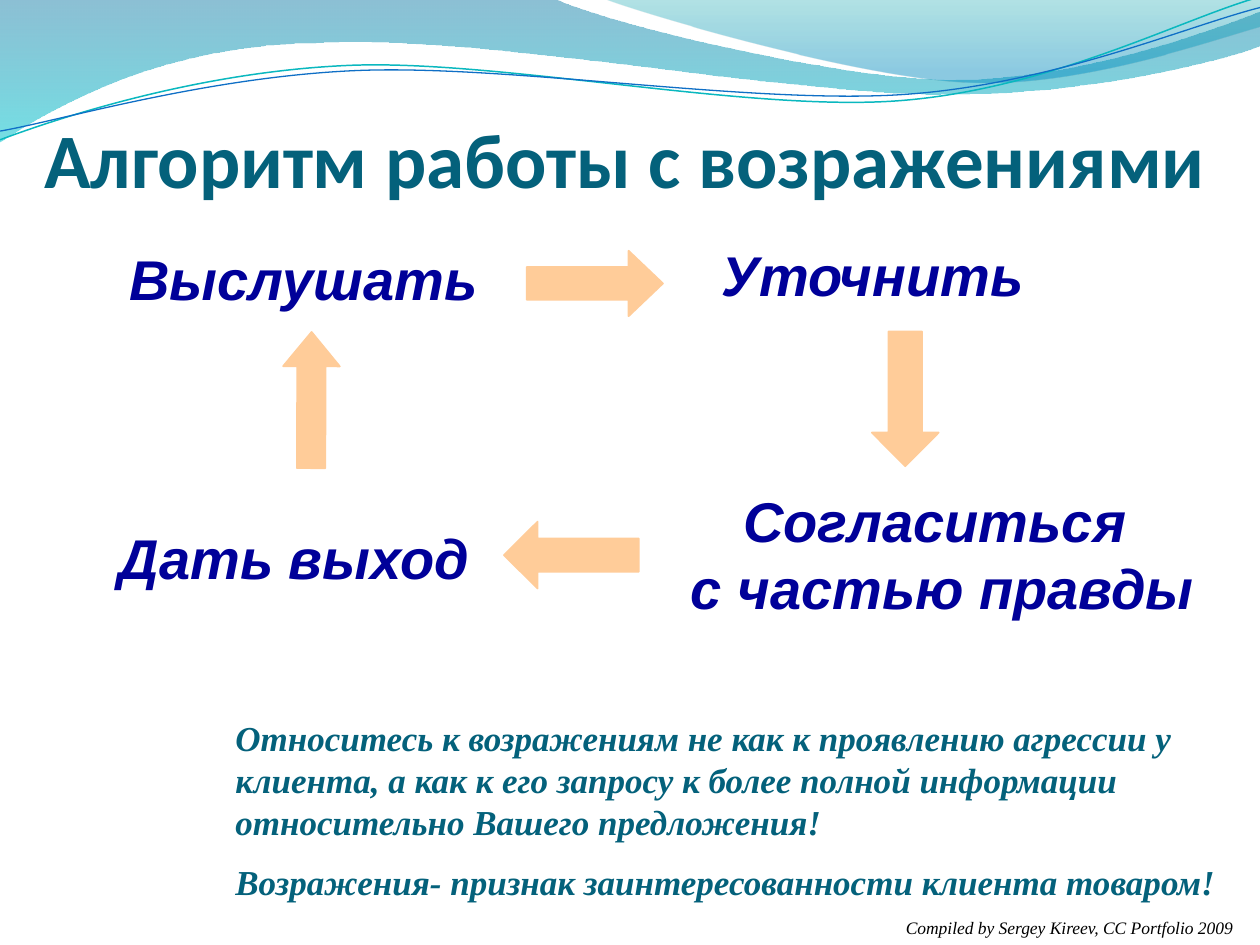
from dataclasses import dataclass, field

from lxml import etree
from pptx import Presentation
from pptx.dml.color import RGBColor
from pptx.enum.shapes import MSO_SHAPE
from pptx.enum.text import MSO_ANCHOR, PP_ALIGN
from pptx.oxml.ns import qn
from pptx.shapes.autoshape import Shape
from pptx.slide import Slide
from pptx.util import Pt

ARROW = MSO_SHAPE.RIGHT_ARROW
TOP, MIDDLE, BOTTOM = MSO_ANCHOR.TOP, MSO_ANCHOR.MIDDLE, MSO_ANCHOR.BOTTOM
LEFT, CENTER = PP_ALIGN.LEFT, PP_ALIGN.CENTER

TEAL = RGBColor(0x04, 0x61, 0x7B)
NAVY = RGBColor(0x00, 0x00, 0x99)
BLACK = RGBColor(0x00, 0x00, 0x00)
PEACH = RGBColor(0xFF, 0xCC, 0x99)
AQUA = RGBColor(0x0A, 0xB8, 0xBF)
BLUE = RGBColor(0x0F, 0x6F, 0xC6)
DEEP = RGBColor(0x00, 0x74, 0xA1)
CYAN = RGBColor(0x00, 0xC6, 0xCF)
JADE = RGBColor(0x00, 0xA1, 0xA9)
AZURE = RGBColor(0x00, 0x8B, 0xBF)

TITLE = {"name": "Calibri", "size": Pt(44), "bold": True}
STEP = {"name": "Arial", "size": Pt(32), "bold": True, "italic": True}
ADVICE = {"name": "Times New Roman", "size": Pt(20), "bold": True, "italic": True}
CREDIT = {"name": "Times New Roman", "size": Pt(10), "italic": True}


@dataclass
class Stop:
    place: int
    color: RGBColor
    alpha: int


@dataclass
class Wave:
    start: tuple[float, float]
    legs: list[tuple[float, ...]]
    stops: list[Stop] = field(default_factory=list)
    color: RGBColor | None = None
    width: float = 0


@dataclass
class Label:
    box: tuple[float, float, float, float]
    lines: list[str]
    font: dict
    color: RGBColor
    align: PP_ALIGN = LEFT
    anchor: MSO_ANCHOR = TOP
    inset: tuple[float, float, float, float] = (7.2, 3.6, 7.2, 3.6)
    wrap: bool = True
    gap: float = 0


@dataclass
class Arrow:
    box: tuple[float, float, float, float]
    turn: float
    head: float


WAVES = [
    Wave((0, -0.7), [
        (316.8, -0.7),
        (342.7, 12.2, 478.1, 45.4, 545.8, 45.4),
        (614.2, 45.4, 689.8, 18.7, 720, 6.5),
        (720.7, 25.9),
        (707.8, 31.7, 626.4, 54.7, 537.1, 54),
        (447.8, 54, 275, 20.2, 185, 24.5),
        (92.9, 25.2, 33.1, 59.8, -0.7, 81.4),
    ], stops=[Stop(0, DEEP, 45), Stop(100, CYAN, 55)]),
    Wave((344.9, -0.7), [
        (366.5, 7.9, 491, 44.6, 553.7, 46.8),
        (616.3, 49.7, 691.9, 23, 720, 15.1),
        (720, 0),
    ], stops=[Stop(0, JADE, 30), Stop(80, AZURE, 45)]),
    Wave((0, 79.9), [
        (34.6, 67, 113.8, 41, 199.4, 37.4),
        (284.4, 33.8, 427, 64.1, 513.4, 57.6),
        (599.8, 51.1, 675.4, 10.8, 718.6, -1.4),
    ], color=AQUA, width=0.85),
    Wave((0, 74.9), [
        (33.8, 69.1, 118.1, 43.9, 203.8, 40.3),
        (290.2, 36.7, 429.8, 59.8, 516.2, 54),
        (601.9, 48.2, 677.5, 15.1, 720, 4.3),
    ], color=BLUE, width=0.75),
]

LABELS = [
    Label((25.2, 59.8, 674.6, 56.9), ["Алгоритм работы с возражениями"],
          TITLE, TEAL, anchor=BOTTOM, inset=(0, 3.6, 0, 0)),
    Label((403.9, 133.9, 189.4, 45.4), ["Уточнить"],
          STEP, NAVY, CENTER, MIDDLE, wrap=False),
    Label((378.7, 274.3, 311, 84.2), ["Согласиться", " с частью правды"],
          STEP, NAVY, CENTER, MIDDLE, wrap=False),
    Label((54, 295.9, 228.2, 45.4), ["Дать выход"], STEP, NAVY, CENTER, MIDDLE),
    Label((65.5, 136.1, 216, 45.4), ["Выслушать"], STEP, NAVY, CENTER, MIDDLE),
    Label((127.4, 406.1, 578.2, 115.2), [
        "Относитесь к возражениям не как к проявлению агрессии у клиента, "
        "а как к его запросу к более полной информации относительно "
        "Вашего предложения!",
        "Возражения- признак заинтересованности клиента товаром!",
    ], ADVICE, TEAL, gap=10),
    Label((510.5, 520.6, 209.5, 19.4),
          ["Compiled by Sergey Kireev, CC Portfolio 2009"], CREDIT, BLACK),
]

ARROWS = [
    Arrow((301, 143.3, 77.8, 37.4), 0, 0.525),
    Arrow((139, 212.4, 77.8, 32.4), 270.2, 0.605),
    Arrow((288, 298.1, 77, 38.2), 180, 0.502),
    Arrow((478.8, 208.8, 77, 38.2), 90, 0.502),
]


def bend(shape: Shape, legs: list[tuple[float, ...]]) -> None:
    track = next(shape.element.iter(qn("a:path")))
    nodes = iter(track.findall(qn("a:lnTo")))
    for leg in legs:
        group = [next(nodes) for _ in range(len(leg) // 2)]
        if len(group) == 3:
            curve = track.makeelement(qn("a:cubicBezTo"))
            group[0].addprevious(curve)
            for node in group:
                curve.append(node[0])
                track.remove(node)


def shade(shape: Shape, stops: list[Stop]) -> None:
    shape.fill.gradient()
    shape.fill.gradient_angle = 270
    ramp = next(shape.element.iter(qn("a:gsLst")))
    for old in list(ramp):
        ramp.remove(old)
    for stop in stops:
        mark = etree.SubElement(ramp, qn("a:gs"), pos=str(stop.place * 1000))
        tint = etree.SubElement(mark, qn("a:srgbClr"), val=str(stop.color))
        etree.SubElement(tint, qn("a:alpha"), val=str(stop.alpha * 1000))


def draw_wave(slide: Slide, wave: Wave) -> None:
    pen = slide.shapes.build_freeform(*map(Pt, wave.start))
    spots = [(Pt(x), Pt(y)) for leg in wave.legs
             for x, y in zip(leg[::2], leg[1::2])]
    pen.add_line_segments(spots, close=bool(wave.stops))
    shape = pen.convert_to_shape()
    shape.shadow.inherit = False
    bend(shape, wave.legs)
    if wave.stops:
        shade(shape, wave.stops)
        shape.line.fill.background()
    else:
        shape.fill.background()
        shape.line.color.rgb = wave.color
        shape.line.width = Pt(wave.width)


def draw_label(slide: Slide, label: Label) -> None:
    frame = slide.shapes.add_textbox(*map(Pt, label.box)).text_frame
    sides = ("margin_left", "margin_top", "margin_right", "margin_bottom")
    form = dict(zip(sides, map(Pt, label.inset)))
    form |= {"word_wrap": label.wrap, "vertical_anchor": label.anchor}
    for key, value in form.items():
        setattr(frame, key, value)
    for rank, line in enumerate(label.lines):
        para = frame.add_paragraph() if rank else frame.paragraphs[0]
        para.alignment = label.align
        if rank:
            para.space_before = Pt(label.gap)
        run = para.add_run()
        run.text = line
        for key, value in label.font.items():
            setattr(run.font, key, value)
        run.font.color.rgb = label.color


def draw_arrow(slide: Slide, arrow: Arrow) -> None:
    shape = slide.shapes.add_shape(ARROW, *map(Pt, arrow.box))
    shape.shadow.inherit = False
    shape.rotation = arrow.turn
    shape.adjustments[1] = arrow.head
    shape.fill.solid()
    shape.fill.fore_color.rgb = PEACH
    shape.line.color.rgb = PEACH
    shape.line.width = Pt(1)


def main() -> None:
    deck = Presentation()
    deck.slide_width, deck.slide_height = Pt(720), Pt(540)
    slide = deck.slides.add_slide(deck.slide_layouts[6])
    for draw, items in ((draw_wave, WAVES), (draw_label, LABELS), (draw_arrow, ARROWS)):
        for item in items:
            draw(slide, item)
    deck.save("out.pptx")


if __name__ == "__main__":
    main()
